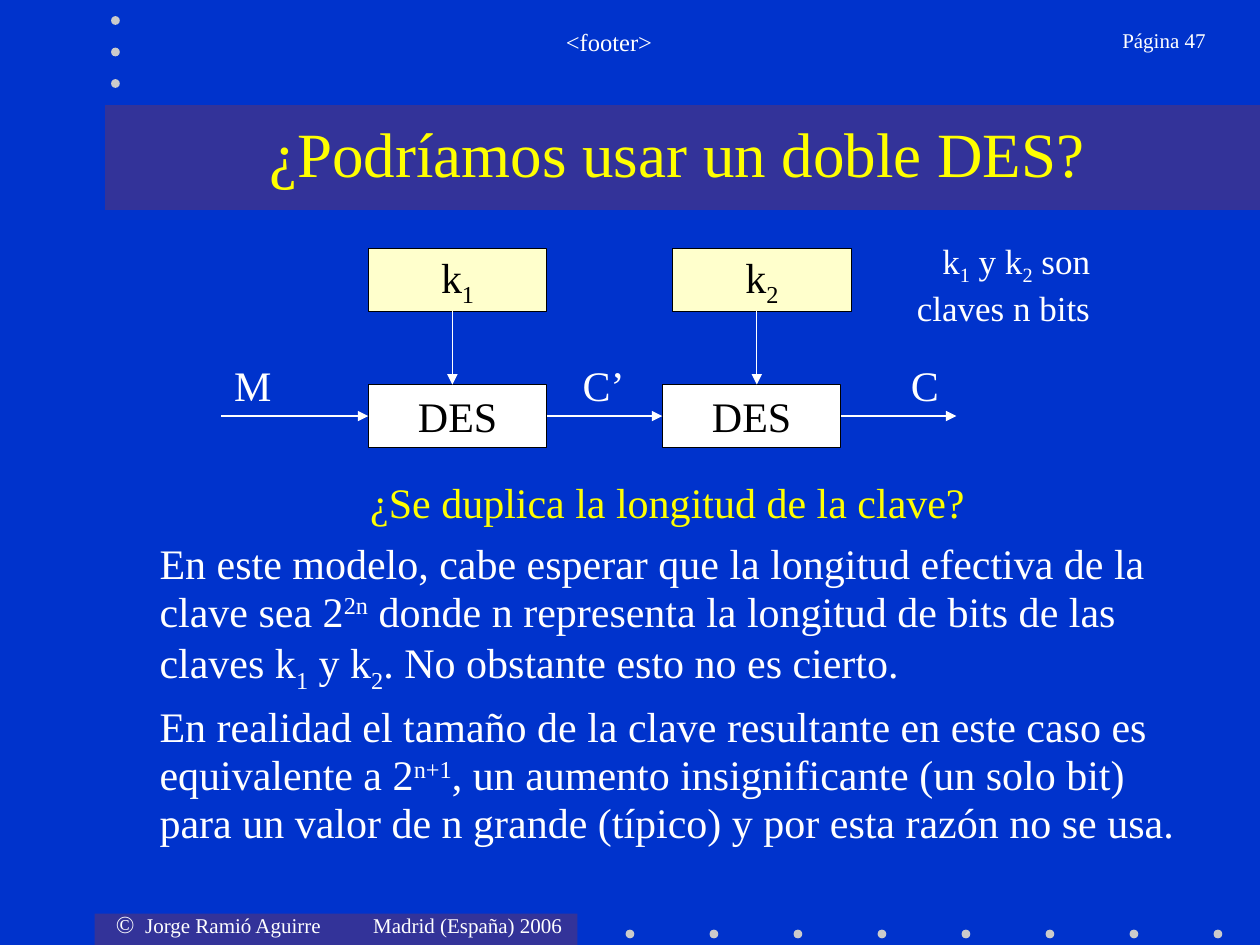
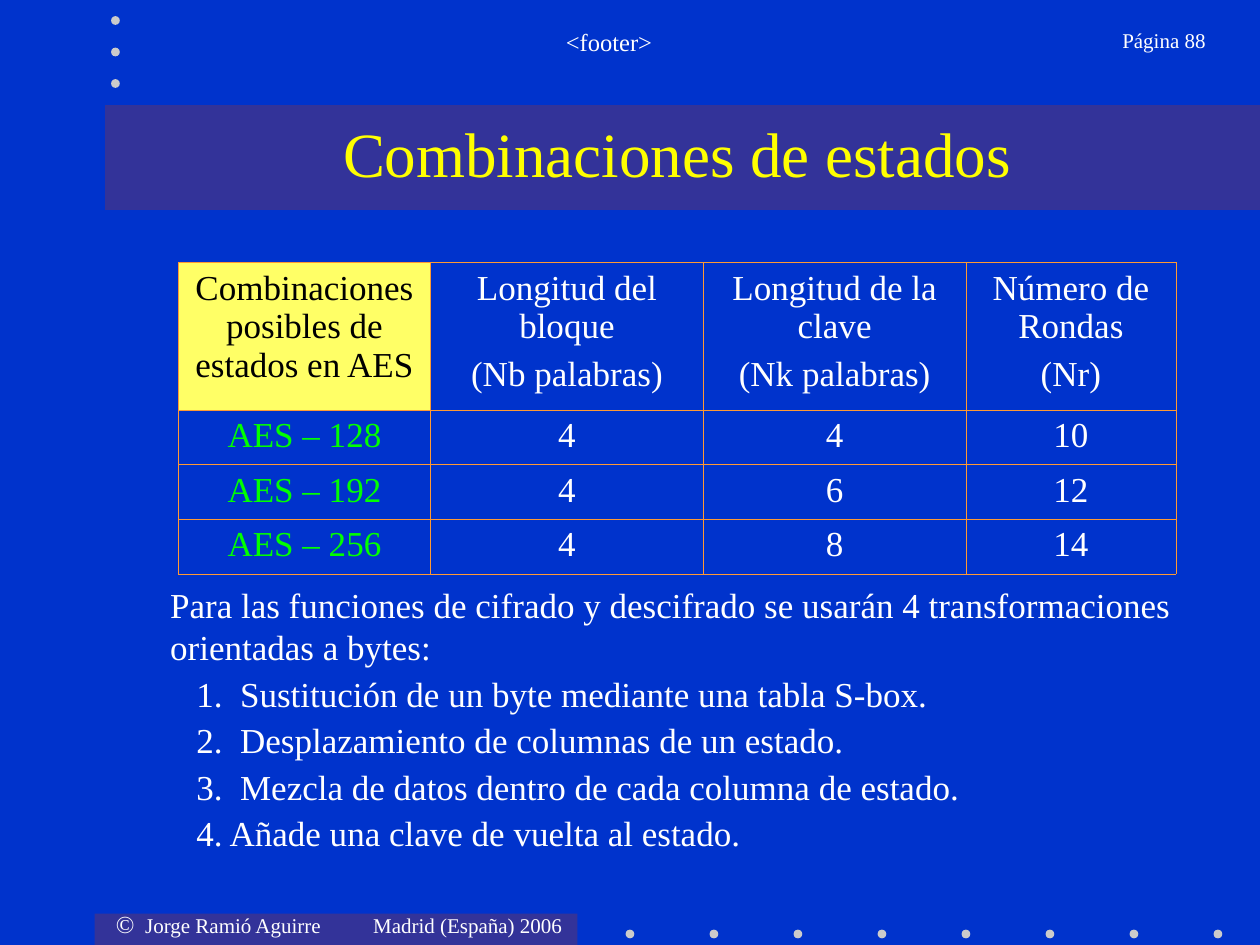
from lxml.etree import SubElement
from pptx import Presentation
from pptx.dml.color import RGBColor
from pptx.enum.shapes import MSO_CONNECTOR, MSO_SHAPE
from pptx.enum.text import MSO_ANCHOR, MSO_AUTO_SIZE, PP_ALIGN
from pptx.oxml.ns import qn
from pptx.util import Pt

FONT = "Times New Roman"
BLUE, INDIGO, GREY = "0033CC", "333399", "CBCBCB"
WHITE, BLACK, YELLOW, GREEN = "FFFFFF", "000000", "FFFF00", "00FF00"
CREAM, LEMON, ORANGE = "FFFFCC", "FFFF66", "FF9933"
SUB, SUP = -25000, 30000
LEFT, CENTER, RIGHT = PP_ALIGN.LEFT, PP_ALIGN.CENTER, PP_ALIGN.RIGHT


def paint(fill, color):
    fill.solid()
    fill.fore_color.rgb = RGBColor.from_string(color)


def write(paragraph, content, size, color=WHITE, align=LEFT, before=0, spacing=1.0):
    paragraph.alignment = align
    paragraph.space_before = Pt(before)
    paragraph.line_spacing = spacing
    for piece in [content] if isinstance(content, str) else content:
        words, baseline = (piece, 0) if isinstance(piece, str) else piece
        run = paragraph.add_run()
        run.text = words
        run.font.name = FONT
        run.font.size = Pt(size)
        run.font.bold = False
        run.font.color.rgb = RGBColor.from_string(color)
        if baseline:
            run.font._element.set("baseline", str(baseline))


def paragraphs(frame, count):
    return [frame.paragraphs[0]] + [frame.add_paragraph() for _ in range(count - 1)]


def set_indent(paragraph, margin, hanging, marker, **attributes):
    properties = paragraph._p.get_or_add_pPr()
    properties.set("marL", str(Pt(margin)))
    properties.set("indent", str(-Pt(hanging)))
    SubElement(properties, qn(marker), attributes)


def place(shape, left, top, width, height):
    shape.left, shape.top, shape.width, shape.height = map(Pt, (left, top, width, height))


def add_block(slide, kind, box, color, border=None):
    block = slide.shapes.add_shape(kind, *map(Pt, box))
    block.shadow.inherit = False
    paint(block.fill, color)
    if border:
        paint(block.line.fill, border)
        block.line.width = Pt(0.75)
    else:
        block.line.fill.background()
    return block


def add_label(slide, box, content, size, align=LEFT, anchor=MSO_ANCHOR.TOP, wrap=True):
    label = slide.shapes.add_textbox(*map(Pt, box))
    frame = label.text_frame
    frame.word_wrap = wrap
    frame.vertical_anchor = anchor
    write(frame.paragraphs[0], content, size, align=align)
    return label


def add_copyright(slide, left, top):
    notice = add_label(slide, (left, top, 270, 24), "©", 14)
    frame = notice.text_frame
    frame.margin_left = 0
    write(frame.paragraphs[0], "\tJorge Ramió Aguirre\tMadrid (España) 2006", 12)
    stops = SubElement(frame.paragraphs[0]._p.get_or_add_pPr(), qn("a:tabLst"))
    for position in (16.75, 147):
        SubElement(stops, qn("a:tab"), pos=str(Pt(position)), algn="l")
    return notice


def decorate_layout(layout, slide):
    paint(layout.background.fill, BLUE)
    dots = [(357.5 + 48 * column, 531.25) for column in range(8)]
    dots += [(63.5, 9.25 + 18 * row) for row in range(3)]
    parts = [add_block(slide, MSO_SHAPE.RECTANGLE, box, INDIGO)
             for box in ((54, 522, 276, 18), (60, 60, 660, 60))]
    parts += [add_block(slide, MSO_SHAPE.OVAL, (x, y, 5, 5), GREY) for x, y in dots]
    parts.append(add_copyright(slide, 66.25, 516))
    parts.append(add_label(slide, (114, 12, 468, 36), "<footer>", 14, CENTER))
    tree = layout.element.cSld.spTree
    for number, part in enumerate(parts, 100):
        part.element.nvSpPr.cNvPr.set("id", str(number))
        tree.append(part.element)


def add_heading(slide, title, page):
    heading = slide.shapes.title
    place(heading, 66, 60, 642, 54)
    frame = heading.text_frame
    frame.auto_size = MSO_AUTO_SIZE.NONE
    frame.vertical_anchor = MSO_ANCHOR.MIDDLE
    write(frame.paragraphs[0], title, 36, YELLOW, CENTER)
    add_label(slide, (597, 12, 99, 36), f"Página {page}", 12, RIGHT)


def open_body(slide, box, anchor):
    body = slide.placeholders[1]
    place(body, *box)
    body.text_frame.auto_size = MSO_AUTO_SIZE.NONE
    body.text_frame.vertical_anchor = anchor
    return body.text_frame


def add_arrow(slide, start, end, source=None, target=None):
    arrow = slide.shapes.add_connector(MSO_CONNECTOR.STRAIGHT, *map(Pt, start + end))
    if source:
        arrow.begin_connect(source, 3)
    if target:
        arrow.end_connect(target, 1)
    paint(arrow.line.fill, WHITE)
    arrow.line.width = Pt(0.75)
    SubElement(arrow.line._get_or_add_ln(), qn("a:tailEnd"), type="triangle")
    SubElement(arrow.element.spPr, qn("a:effectLst"))


def add_cipher_diagram(slide, left, top):
    def add_box(x, y, content, color):
        box = add_block(slide, MSO_SHAPE.RECTANGLE, (left + x, top + y, 102, 36), color, BLACK)
        box.text_frame.word_wrap = False
        box.text_frame.vertical_anchor = MSO_ANCHOR.MIDDLE
        write(box.text_frame.paragraphs[0], content, 24, BLACK, CENTER)
        return box

    stages = []
    for key, key_x, des_x in (("1", 84, 84), ("2", 258, 252)):
        add_box(key_x, 9, ["k", (key, SUB)], CREAM)
        stages.append(add_box(des_x, 86.75, "DES", WHITE))
        arrow_x = left + key_x + 48
        add_arrow(slide, (arrow_x, top + 45), (arrow_x, top + 86.75))

    first, second = stages
    flow_y = top + 104.75
    for start, end, source, target in ((0, 84, None, first), (186, 252, first, second),
                                       (354, 420, second, None)):
        add_arrow(slide, (left + start, flow_y), (left + end, flow_y), source, target)
    for name, x, width in (("M", 0, 36), ("C’", 196.5, 44), ("C", 387, 30)):
        add_label(slide, (left + x, top + 68.75, width, 36), name, 24, CENTER,
                  MSO_ANCHOR.MIDDLE, wrap=False)
    add_label(slide, (left + 372, top, 131.5, 58.5),
              ["k", ("1", SUB), " y k", ("2", SUB), " son claves n bits"], 20, RIGHT,
              MSO_ANCHOR.MIDDLE)


def add_key_length_text(slide, box):
    question = "¿Se duplica la longitud de la clave?"
    answers = [
        ["En este modelo, cabe esperar que la longitud efectiva de la clave sea 2", ("2n", SUP),
         " donde n representa la longitud de bits de las claves k", ("1", SUB), " y k", ("2", SUB),
         ". No obstante esto no es cierto."],
        ["En realidad el tamaño de la clave resultante en este caso es equivalente a 2",
         ("n+1", SUP), ", un aumento insignificante (un solo bit) para un valor de n grande "
         "(típico) y por esta razón no se usa."],
    ]
    lines = paragraphs(open_body(slide, box, MSO_ANCHOR.MIDDLE), 3)
    for line in lines:
        set_indent(line, 0, 0, "a:buNone")
    write(lines[0], question, 24, YELLOW, CENTER, spacing=0.95)
    for line, answer in zip(lines[1:], answers):
        write(line, answer, 24, before=7.5, spacing=0.95)


def add_borders(cell):
    properties = cell._tc.get_or_add_tcPr()
    for side in ("a:lnL", "a:lnR", "a:lnT", "a:lnB"):
        border = SubElement(properties, qn(side), w=str(Pt(0.45)))
        SubElement(SubElement(border, qn("a:solidFill")), qn("a:srgbClr"), val=ORANGE)


def add_aes_table(slide, left, top):
    rows = [
        ["Combinaciones posibles de estados en AES", "Longitud del bloque\n(Nb palabras)",
         "Longitud de la clave\n(Nk palabras)", "Número de Rondas\n(Nr)"],
        ["AES – 128", "4", "4", "10"],
        ["AES – 192", "4", "6", "12"],
        ["AES – 256", "4", "8", "14"],
    ]
    widths, heights = (144, 156, 150, 120), (80.5, 28, 28, 28)
    table = slide.shapes.add_table(4, 4, Pt(left), Pt(top), Pt(sum(widths)),
                                   Pt(sum(heights))).table
    table.first_row = table.horz_banding = False
    for column, width in zip(table.columns, widths):
        column.width = Pt(width)
    for r, (values, height) in enumerate(zip(rows, heights)):
        table.rows[r].height = Pt(height)
        for c, value in enumerate(values):
            cell = table.cell(r, c)
            add_borders(cell)
            if r == c == 0:
                paint(cell.fill, LEMON)
            else:
                cell.fill.background()
            color = WHITE if c else GREEN if r else BLACK
            parts = value.split("\n")
            for i, line in enumerate(paragraphs(cell.text_frame, len(parts))):
                write(line, parts[i], 20, color, CENTER, 5 if i else 0)


def add_transformations(slide, box):
    intro = ("Para las funciones de cifrado y descifrado se usarán 4 transformaciones "
             "orientadas a bytes:")
    steps = [("Sustitución de un byte mediante una tabla S-box.", 25),
             ("Desplazamiento de columnas de un estado.", 25),
             ("Mezcla de datos dentro de cada columna de estado.", 25),
             ("Añade una clave de vuelta al estado.", 19)]
    lines = paragraphs(open_body(slide, box, MSO_ANCHOR.TOP), 1 + len(steps))
    set_indent(lines[0], 0, 0, "a:buNone")
    write(lines[0], intro, 20)
    for line, (step, hanging) in zip(lines[1:], steps):
        set_indent(line, 15 + hanging, hanging, "a:buAutoNum", type="arabicPeriod")
        write(line, step, 20, before=2.5)


def main():
    deck = Presentation()
    deck.slide_width, deck.slide_height = Pt(720), Pt(540)
    layout = deck.slide_layouts[1]

    double_des = deck.slides.add_slide(layout)
    decorate_layout(layout, double_des)
    add_heading(double_des, "¿Podríamos usar un doble DES?", 47)
    add_cipher_diagram(double_des, 126.5, 133)
    add_key_length_text(double_des, (84, 271, 595, 217))

    aes_states = deck.slides.add_slide(layout)
    add_heading(aes_states, "Combinaciones de estados", 88)
    add_aes_table(aes_states, 102, 150)
    add_transformations(aes_states, (90, 330, 588, 158))

    deck.save("out.pptx")


if __name__ == "__main__":
    main()
